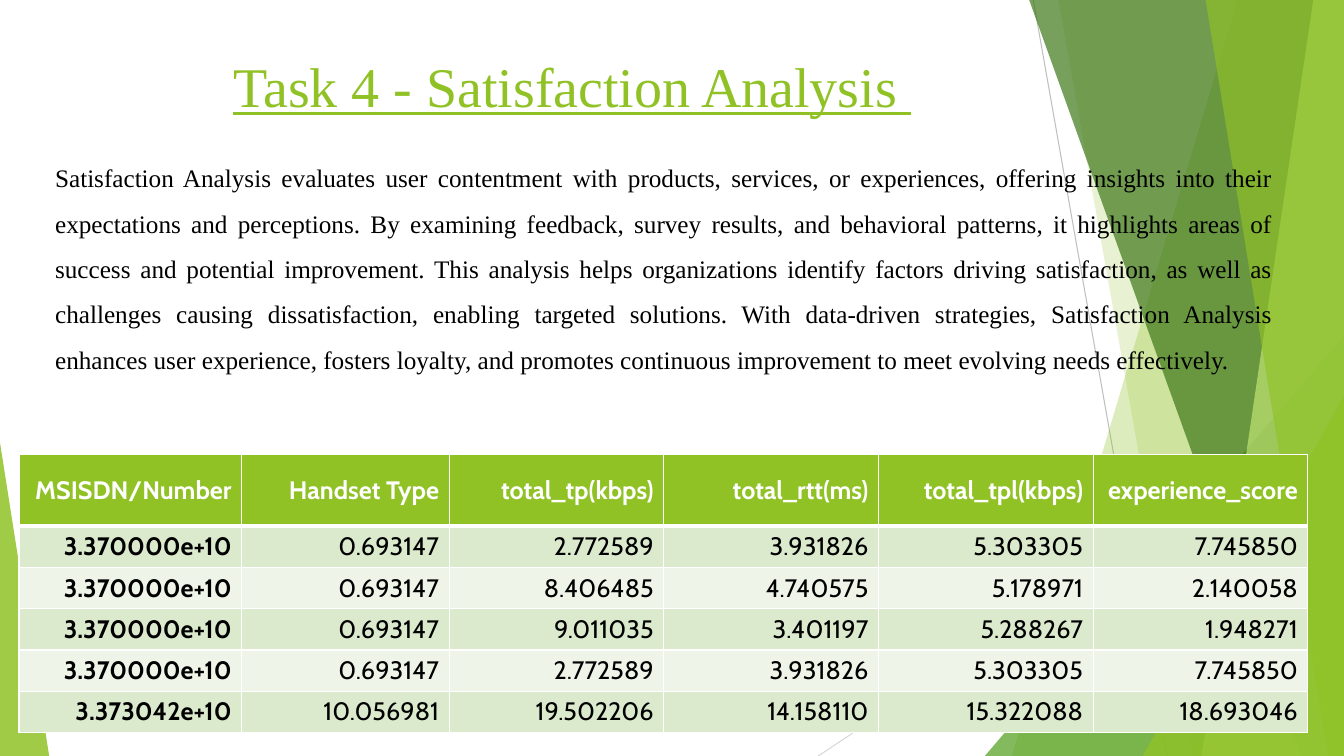
"""Build the Satisfaction Analysis slide with its green facets and score table."""
from lxml import etree
from pptx import Presentation
from pptx import util as u
from pptx.dml.color import RGBColor
from pptx.enum import shapes, text
from pptx.oxml import ns

GREEN, WHITE, BLACK = "90C226", "FFFFFF", "000000"
WIDTH, HEIGHT, BLEED = 33.87, 19.05, -0.02


def paint(target, color, alpha=100):
    """Give a fill a solid colour with an opacity in percent."""
    target.solid()
    target.fore_color.rgb = RGBColor.from_string(color)
    if alpha < 100:
        swatch = target._xPr.find(ns.qn("a:solidFill"))[0]
        etree.SubElement(swatch, ns.qn("a:alpha")).set("val", str(alpha * 1000))


def write(frame, words, align, color, **formats):
    """Put one formatted paragraph in a vertically centred text frame."""
    frame.vertical_anchor = text.MSO_ANCHOR.MIDDLE
    para = frame.paragraphs[0]
    para.alignment = align
    span = para.add_run()
    span.text = words
    span.font.color.rgb = RGBColor.from_string(color)
    for name, value in formats.items():
        setattr(span.font, name, value)
    return para


deck = Presentation()
deck.slide_width, deck.slide_height = u.Cm(WIDTH), u.Cm(HEIGHT)
page = deck.slides.add_slide(deck.slide_layouts[5])

for start_x, start_y, end_x, color in [
    (26.04, 0, 29.41, "BFBFBF"),
    (WIDTH, 10.24, 20.62, "D9D9D9"),
]:
    ray = page.shapes.add_connector(
        shapes.MSO_CONNECTOR.STRAIGHT,
        u.Cm(start_x), u.Cm(start_y), u.Cm(end_x), u.Cm(HEIGHT))
    ray.line.width = u.Pt(0.75)
    paint(ray.line.fill, color)
    etree.SubElement(ray.element.spPr, ns.qn("a:effectLst"))

facets = [
    ("band", (31.19, 25.5), GREEN, 30),
    ("band", (26.67, 30.05), GREEN, 20),
    ("triangle", (24.82, 8.46, 9.05, 1), "54A021", 72),
    ("band", (25.93, 32.79), "3F7819", 70),
    ("band", (33.1, 30.28), "C0E474", 70),
    ("band", (30.38, 33.48), GREEN, 65),
    ("triangle", (28.8, 9.98, 5.07, 1), GREEN, 80),
    ("triangle", (0, 11.15, 1.24, 0), GREEN, 85),
]
for kind, geometry, color, alpha in facets:
    if kind == "band":
        top_x, bottom_x = geometry
        outline = page.shapes.build_freeform(u.Cm(top_x), u.Cm(BLEED))
        corners = [(WIDTH, BLEED), (WIDTH, HEIGHT), (bottom_x, HEIGHT)]
        outline.add_line_segments([(u.Cm(x), u.Cm(y)) for x, y in corners])
        facet = outline.convert_to_shape()
    else:
        left, top, width, apex = geometry
        facet = page.shapes.add_shape(
            shapes.MSO_SHAPE.ISOSCELES_TRIANGLE,
            u.Cm(left), u.Cm(top), u.Cm(width), u.Cm(HEIGHT - top))
        facet.adjustments[0] = apex
    paint(facet.fill, color, alpha)
    facet.line.fill.background()
    facet.shadow.inherit = False

title = page.shapes.title
title.left, title.top, title.width, title.height = map(u.Cm, (5.49, 1.02, 17.86, 2.26))
write(title.text_frame, "Task 4 - Satisfaction Analysis ", text.PP_ALIGN.CENTER,
      GREEN, name="Times New Roman", size=u.Pt(40), underline=True)

rows = [
    ["MSISDN/Number", "Handset Type", "total_tp(kbps)", "total_rtt(ms)",
     "total_tpl(kbps)", "experience_score"],
    ["3.370000e+10", "0.693147", "2.772589", "3.931826", "5.303305", "7.745850"],
    ["3.370000e+10", "0.693147", "8.406485", "4.740575", "5.178971", "2.140058"],
    ["3.370000e+10", "0.693147", "9.011035", "3.401197", "5.288267", "1.948271"],
    ["3.370000e+10", "0.693147", "2.772589", "3.931826", "5.303305", "7.745850"],
    ["3.373042e+10", "10.056981", "19.502206", "14.158110", "15.322088", "18.693046"],
]
column_widths = [5.61, 5.23] + [5.41] * 4
row_heights = [1.8] + [1.04] * 5
scores = page.shapes.add_table(
    len(rows), len(column_widths), u.Cm(0.48), u.Cm(11.46),
    u.Cm(sum(column_widths)), u.Cm(sum(row_heights))).table
for column, width in zip(scores.columns, column_widths):
    column.width = u.Cm(width)
for row, height in zip(scores.rows, row_heights):
    row.height = u.Cm(height)

for row_index, values in enumerate(rows):
    header = row_index == 0
    shade = GREEN if header else ("EEF4E8", "DBE9CD")[row_index % 2]
    for column_index, value in enumerate(values):
        cell = scores.cell(row_index, column_index)
        write(cell.text_frame, value, text.PP_ALIGN.RIGHT, WHITE if header else BLACK,
              name="Cabin", size=u.Pt(18), bold=header or column_index == 0)
        cell.vertical_anchor = text.MSO_ANCHOR.MIDDLE
        properties = cell._tc.get_or_add_tcPr()
        for side in "LRTB":
            thick = (side, row_index) in [("B", 0), ("T", 1)]
            border = etree.SubElement(properties, ns.qn("a:ln" + side))
            border.set("w", str(u.Pt(3 if thick else 1)))
            stroke = etree.SubElement(border, ns.qn("a:solidFill"))
            etree.SubElement(stroke, ns.qn("a:srgbClr")).set("val", WHITE)
        paint(cell.fill, shade)

summary = page.shapes.add_textbox(u.Cm(1.14), u.Cm(3.63), u.Cm(31.19), u.Cm(5.89))
summary.text_frame.word_wrap = True
para = write(
    summary.text_frame,
    "Satisfaction Analysis evaluates user contentment with products, services, or "
    "experiences, offering insights into their expectations and perceptions. By "
    "examining feedback, survey results, and behavioral patterns, it highlights areas "
    "of success and potential improvement. This analysis helps organizations identify "
    "factors driving satisfaction, as well as challenges causing dissatisfaction, "
    "enabling targeted solutions. With data-driven strategies, Satisfaction Analysis "
    "enhances user experience, fosters loyalty, and promotes continuous improvement "
    "to meet evolving needs effectively.",
    text.PP_ALIGN.JUSTIFY, BLACK, name="Times New Roman", size=u.Pt(18))
para.line_spacing = 1.5

deck.save("out.pptx")
